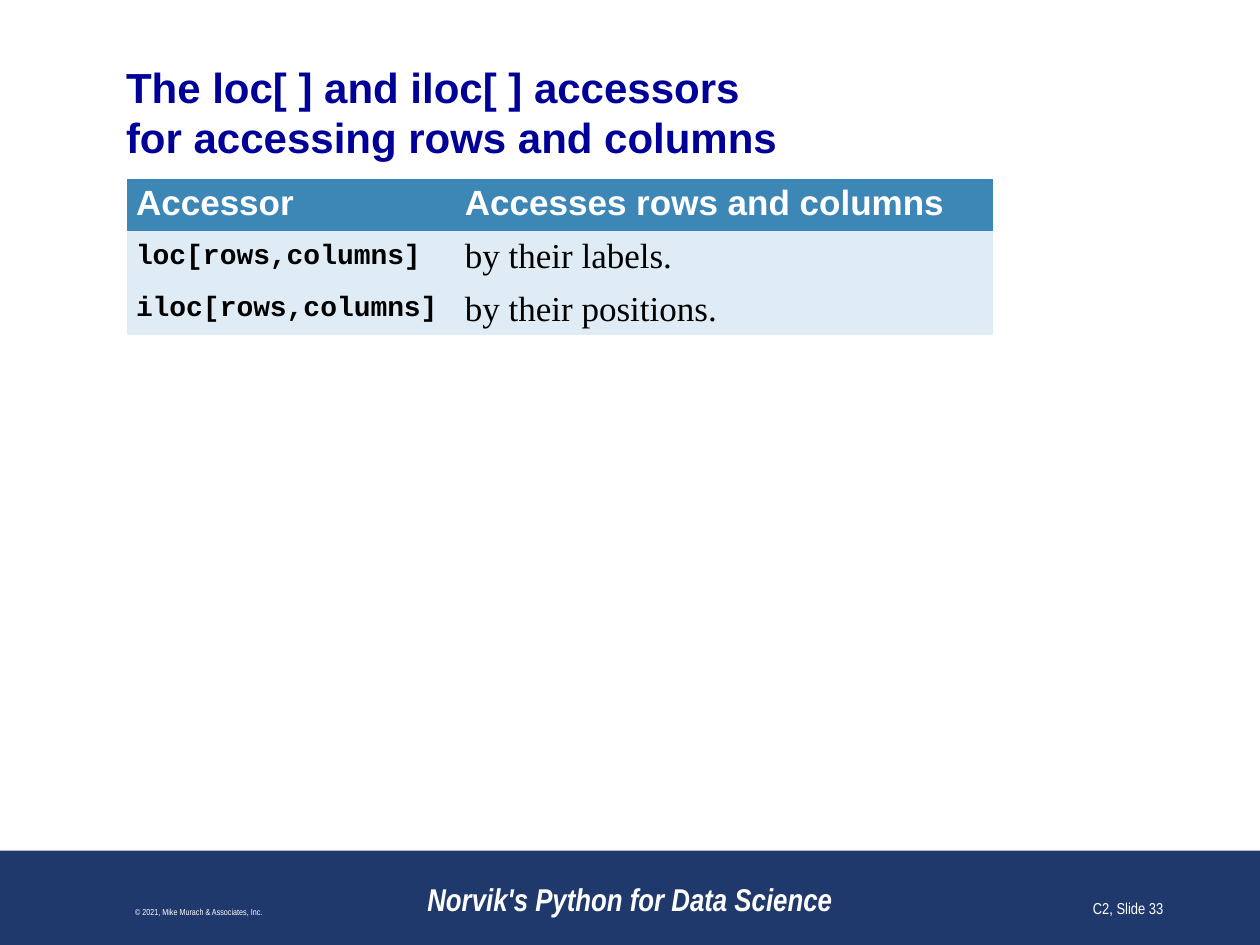
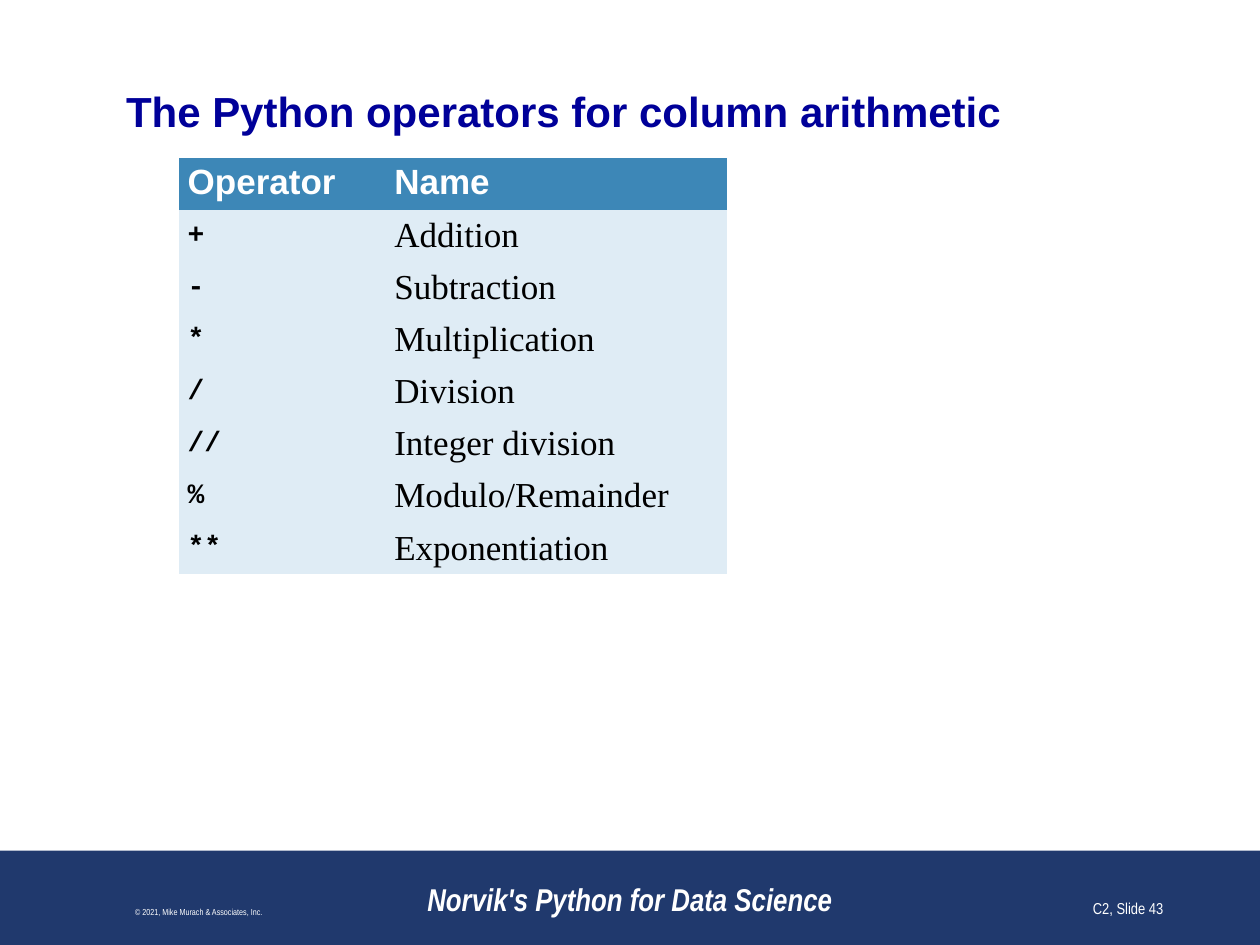
from dataclasses import dataclass

from pptx import Presentation
from pptx.dml.color import RGBColor
from pptx.enum.shapes import MSO_SHAPE
from pptx.enum.text import MSO_ANCHOR, PP_ALIGN
from pptx.util import Inches, Pt

COLS, ROWS = 40, 30
NO_STYLE = "{2D5ABB26-0587-4C30-8999-92F81FD0307C}"


@dataclass(frozen=True)
class Theme:
    title: str = "000099"
    band: str = "20396D"
    header: str = "3D87B7"
    body: str = "DFECF5"
    ink: str = "000000"
    paper: str = "FFFFFF"
    sans: str = "Arial"
    narrow: str = "Arial Narrow"
    serif: str = "Times New Roman"
    mono: str = "Courier New"
    title_size: int = 24
    table_size: int = 20
    code_size: int = 16
    book_size: int = 18
    page_size: int = 9
    legal_size: int = 5


def write(tf, text, *, font, size, color, bold=False, italic=False,
          align=PP_ALIGN.LEFT, anchor=MSO_ANCHOR.MIDDLE):
    tf.word_wrap = True
    tf.vertical_anchor = anchor
    p = tf.paragraphs[0]
    p.text = text
    p.alignment = align
    for r in p.runs:
        f = r.font
        f.name, f.size, f.bold, f.italic = font, Pt(size), bold, italic
        f.color.rgb = RGBColor.from_string(color)


class Deck:
    """Builds slides in one style, placing elements on a grid of columns and rows."""

    def __init__(self, prs, theme):
        self.prs, self.theme, self.s = prs, theme, None

    def x(self, cols):
        return round(self.prs.slide_width * cols / COLS)

    def y(self, rows):
        return round(self.prs.slide_height * rows / ROWS)

    def box(self, left, top, width, height):
        return self.x(left), self.y(top), self.x(width), self.y(height)

    def fill(self, target, color):
        target.fill.solid()
        target.fill.fore_color.rgb = RGBColor.from_string(color)

    def slide(self, title, page, top, height):
        self.s = self.prs.slides.add_slide(self.prs.slide_layouts[5])
        self.fill(self.s.background, self.theme.paper)
        self.band()
        self.title(title, top, height)
        self.footer(page)

    def band(self):
        sp = self.s.shapes.add_shape(MSO_SHAPE.RECTANGLE, *self.box(0, 27, COLS, 3))
        sp.shadow.inherit = False
        self.fill(sp, self.theme.band)
        sp.line.fill.background()

    def title(self, text, top, height):
        t, sp = self.theme, self.s.shapes.title
        sp.left, sp.top, sp.width, sp.height = self.box(4, top, 32, height)
        tf = sp.text_frame
        tf.margin_left = tf.margin_right = tf.margin_top = tf.margin_bottom = 0
        write(tf, text, font=t.sans, size=t.title_size, color=t.title, bold=True)

    def footer(self, page):
        t = self.theme
        self.note("Norvik's Python for Data Science", 12, 16, size=t.book_size,
                  bold=True, italic=True, align=PP_ALIGN.CENTER)
        self.note("© 2021, Mike Murach & Associates, Inc.", 0.32, 12,
                  size=t.legal_size, align=PP_ALIGN.CENTER)
        self.note(f"C2, Slide {page}", 29, 8.32, size=t.page_size, align=PP_ALIGN.RIGHT)

    def note(self, text, left, width, **fmt):
        sp = self.s.shapes.add_textbox(*self.box(left, 27.32, width, 2))
        write(sp.text_frame, text, font=self.theme.narrow, color=self.theme.paper,
              anchor=MSO_ANCHOR.BOTTOM, **fmt)

    def table(self, left, top, widths, rows, row_height=1.64):
        t = self.theme
        area = self.box(left, top, sum(widths), row_height * len(rows))
        tbl = self.s.shapes.add_table(len(rows), len(widths), *area).table
        tbl._tbl.tblPr.find("{*}tableStyleId").text = NO_STYLE
        tbl.horz_banding = False
        for col, width in zip(tbl.columns, widths):
            col.width = self.x(width)
        header = dict(font=t.sans, size=t.table_size, color=t.paper, bold=True)
        code = dict(font=t.mono, size=t.code_size, color=t.ink, bold=True)
        plain = dict(font=t.serif, size=t.table_size, color=t.ink)
        for i, row in enumerate(rows):
            tbl.rows[i].height = self.y(row_height)
            formats = (code, plain) if i else (header, header)
            for j, (text, fmt) in enumerate(zip(row, formats)):
                cell = tbl.cell(i, j)
                self.fill(cell, t.body if i else t.header)
                cell.margin_left = cell.margin_right = Inches(0.07)
                cell.margin_top = cell.margin_bottom = Inches(0.04)
                cell.vertical_anchor = MSO_ANCHOR.MIDDLE if i else MSO_ANCHOR.TOP
                write(cell.text_frame, text, anchor=None, **fmt)


def main():
    prs = Presentation()
    prs.slide_width, prs.slide_height = Inches(10), Inches(7.5)
    deck = Deck(prs, Theme())

    deck.slide("The loc[ ] and iloc[ ] accessors\vfor accessing rows and columns",
               33, top=1.92, height=3.24)
    deck.table(4.04, 5.68, (10.44, 17.04), [
        ("Accessor", "Accesses rows and columns"),
        ("loc[rows,columns]", "by their labels."),
        ("iloc[rows,columns]", "by their positions."),
    ])

    deck.slide("The Python operators for column arithmetic", 43, top=2.72, height=1.6)
    deck.table(5.68, 5, (6.56, 10.84), [
        ("Operator", "Name"),
        ("+", "Addition"),
        ("-", "Subtraction"),
        ("*", "Multiplication"),
        ("/", "Division"),
        ("//", "Integer division"),
        ("%", "Modulo/Remainder"),
        ("**", "Exponentiation"),
    ])

    prs.save("out.pptx")


if __name__ == "__main__":
    main()
